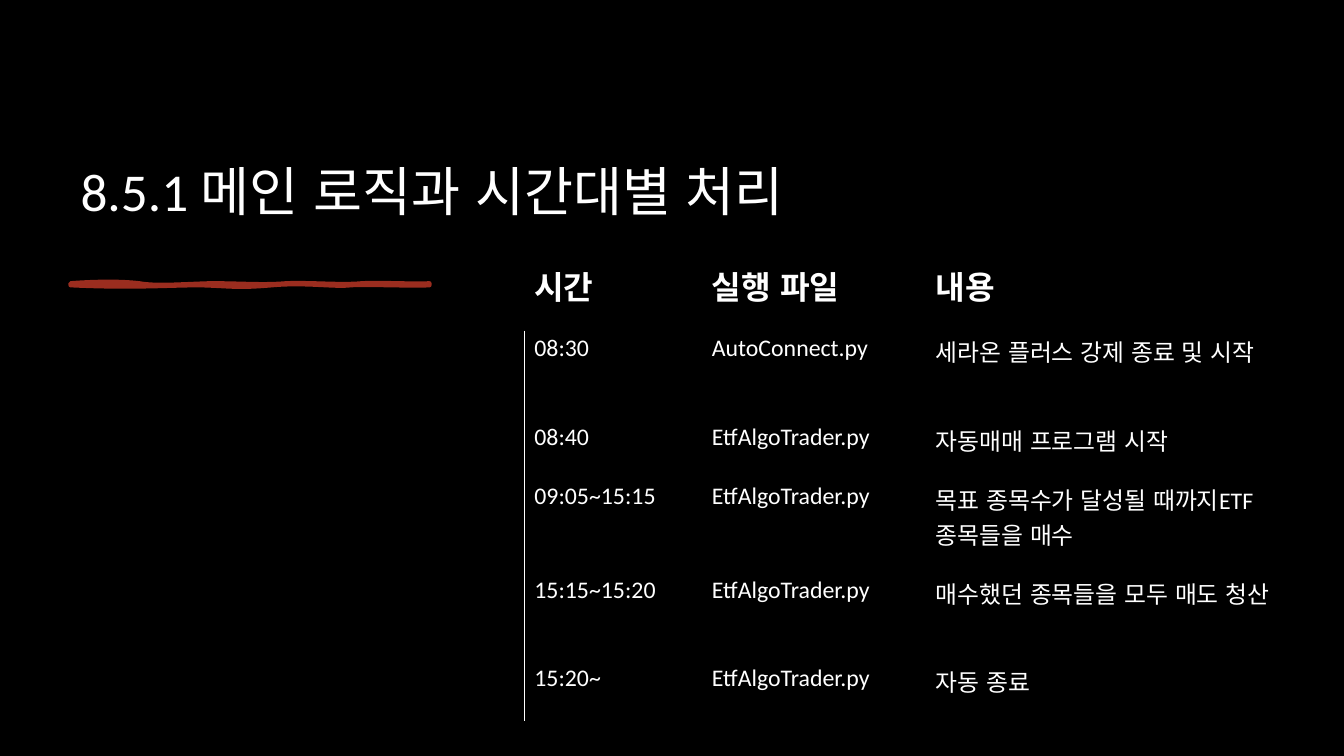
"""Build a dark slide with a title, a brush stroke and a schedule table."""
import lxml.etree
import pptx
import pptx.dml.color
import pptx.enum.lang
import pptx.enum.text
import pptx.oxml.ns
import pptx.util
from pptx.util import Inches

WHITE, BLACK, RED = "FFFFFF", "000000", "9B2D1F"
ANCHOR = pptx.enum.text.MSO_ANCHOR
COLUMN_WIDTHS = [1.76, 2.22, 3.57]
ROW_HEIGHTS = [0.71, 0.88, 0.59, 0.93, 0.88, 0.59]
SCHEDULE = [
    ["시간", "실행 파일", "내용"],
    ["08:30", "AutoConnect.py", "세라온 플러스 강제 종료 및 시작"],
    ["08:40", "EtfAlgoTrader.py", "자동매매 프로그램 시작"],
    ["09:05~15:15", "EtfAlgoTrader.py", "목표 종목수가 달성될 때까지ETF종목들을 매수"],
    ["15:15~15:20", "EtfAlgoTrader.py", "매수했던 종목들을 모두 매도 청산"],
    ["15:20~", "EtfAlgoTrader.py", "자동 종료"],
]
STROKE_LEFT, STROKE_TOP = 0.7, 2.81
STROKE_CURVES = [
    ((27, -2), (51, -2), (68, 0)),
    ((85, 3), (107, 1), (139, 0)),
    ((171, 0), (190, 2), (214, 0)),
    ((238, -1), (269, 2), (289, 0)),
    ((309, -1), (342, 1), (356, 0)),
    ((356, 1), (356, 2), (356, 2)),
    ((338, 3), (294, 1), (278, 2)),
    ((262, 4), (234, -1), (200, 2)),
    ((165, 5), (161, 3), (129, 2)),
    ((96, 2), (62, 5), (0, 2)),
]


def color(value):
    """Return the colour for a hex string."""
    return pptx.dml.color.RGBColor.from_string(value)


def write_text(frame, text, size, bold=False, line_spacing=None):
    """Write one formatted paragraph into a text frame."""
    frame.word_wrap = True
    para = frame.paragraphs[0]
    para.line_spacing = line_spacing
    span = para.add_run()
    span.text = text
    span.font.name = "Calibri"
    span.font.language_id = pptx.enum.lang.MSO_LANGUAGE_ID.KOREAN
    span.font.size = pptx.util.Pt(size)
    span.font.bold = bold
    span.font.color.rgb = color(WHITE)


def add_title(page, text):
    """Add the bottom-anchored slide title."""
    box = page.shapes.add_textbox(Inches(0.7), Inches(0.38), Inches(10.91), Inches(1.88))
    box.text_frame.vertical_anchor = ANCHOR.BOTTOM
    write_text(box.text_frame, text, 38, line_spacing=0.9)


def bend_segments(shape, curves):
    """Turn the straight segments of a freeform into cubic curves."""
    qn = pptx.oxml.ns.qn
    segments = list(shape._element.iter(qn("a:lnTo")))
    for segment, points in zip(segments, curves):
        curve = lxml.etree.Element(qn("a:cubicBezTo"))
        for x, y in points:
            lxml.etree.SubElement(curve, qn("a:pt"), x=str(x), y=str(y))
        segment.getparent().replace(segment, curve)


def add_brush_stroke(page):
    """Add the hand-drawn stroke below the title."""
    builder = page.shapes.build_freeform(0, 0, scale=Inches(0.01))
    builder.add_line_segments([points[-1] for points in STROKE_CURVES], close=True)
    stroke = builder.convert_to_shape(Inches(STROKE_LEFT), Inches(STROKE_TOP))
    bend_segments(stroke, STROKE_CURVES)
    stroke.shadow.inherit = False
    stroke.fill.solid()
    stroke.fill.fore_color.rgb = color(RED)
    stroke.line.color.rgb = color(RED)
    stroke.line.width = pptx.util.Pt(3)


def set_borders(cell, left=None):
    """Clear the cell borders, except for an optional left line."""
    qn = pptx.oxml.ns.qn
    properties = cell._tc.get_or_add_tcPr()
    for side in "LRTB":
        line = lxml.etree.SubElement(properties, qn(f"a:ln{side}"), w=str(pptx.util.Pt(0.75)))
        if side == "L" and left:
            fill = lxml.etree.SubElement(line, qn("a:solidFill"))
            lxml.etree.SubElement(fill, qn("a:srgbClr"), val=left)
        else:
            lxml.etree.SubElement(line, qn("a:noFill"))


def format_cell(cell, text, header, left):
    """Fill in one schedule cell."""
    set_borders(cell, left)
    cell.fill.solid()
    cell.fill.fore_color.rgb = color(BLACK)
    cell.margin_left, cell.margin_top = Inches(0.1), Inches(0.03)
    cell.margin_right, cell.margin_bottom = Inches(0.14), Inches(0.22)
    cell.vertical_anchor = ANCHOR.BOTTOM if header else ANCHOR.TOP
    write_text(cell.text_frame, text, 23 if header else 17, bold=header)


def add_schedule(page):
    """Add the table of times, files and tasks."""
    table = page.shapes.add_table(
        len(SCHEDULE), len(COLUMN_WIDTHS), Inches(5.2), Inches(2.57),
        Inches(sum(COLUMN_WIDTHS)), Inches(sum(ROW_HEIGHTS))).table
    table.first_row = table.horz_banding = False
    for column, width in zip(table.columns, COLUMN_WIDTHS):
        column.width = Inches(width)
    for row, height in zip(table.rows, ROW_HEIGHTS):
        row.height = Inches(height)
    for i, texts in enumerate(SCHEDULE):
        for j, text in enumerate(texts):
            left = WHITE if i > 0 and j == 0 else None
            format_cell(table.cell(i, j), text, i == 0, left)


def main():
    """Build and save the deck."""
    deck = pptx.Presentation()
    deck.slide_width, deck.slide_height = Inches(13.33), Inches(7.5)
    page = deck.slides.add_slide(deck.slide_layouts[6])
    page.background.fill.solid()
    page.background.fill.fore_color.rgb = color(BLACK)
    add_title(page, "8.5.1 메인 로직과 시간대별 처리")
    add_brush_stroke(page)
    add_schedule(page)
    deck.save("out.pptx")


if __name__ == "__main__":
    main()
